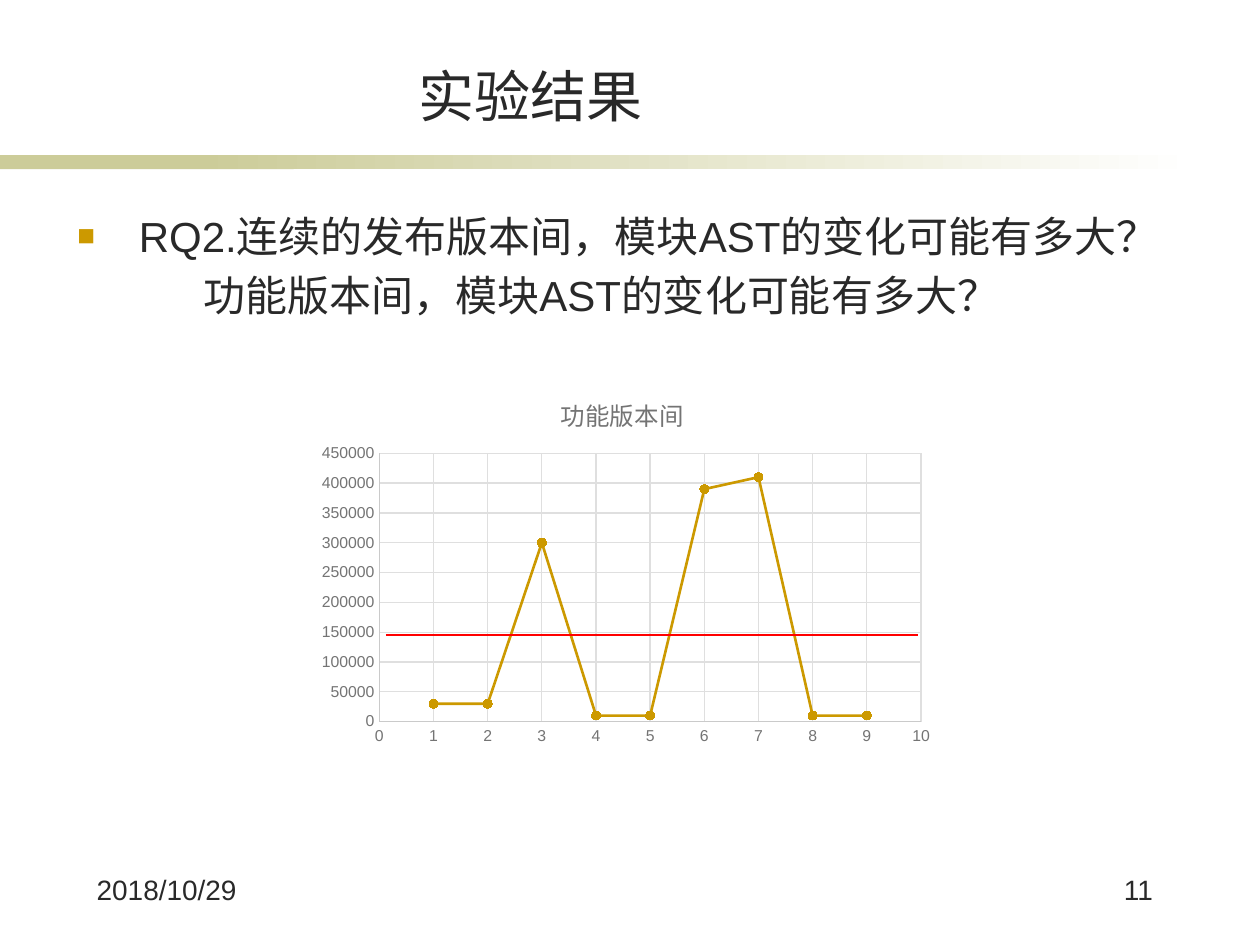
from lxml import etree
from pptx import Presentation
from pptx.chart.data import XyChartData
from pptx.dml.color import RGBColor
from pptx.enum.chart import XL_CHART_TYPE, XL_MARKER_STYLE, XL_TICK_MARK
from pptx.enum.shapes import MSO_CONNECTOR, MSO_SHAPE
from pptx.enum.text import MSO_ANCHOR, PP_ALIGN
from pptx.oxml.ns import qn
from pptx.util import Cm, Pt

LEFT, CENTER, RIGHT = PP_ALIGN.LEFT, PP_ALIGN.CENTER, PP_ALIGN.RIGHT
TOP, BOTTOM = MSO_ANCHOR.TOP, MSO_ANCHOR.BOTTOM
SCATTER_LINES = XL_CHART_TYPE.XY_SCATTER_LINES
CIRCLE = XL_MARKER_STYLE.CIRCLE
NO_TICK = XL_TICK_MARK.NONE
STRAIGHT = MSO_CONNECTOR.STRAIGHT
RECTANGLE = MSO_SHAPE.RECTANGLE

FONT = "Arial"
COLORS = {
    "text": "292929",
    "band": "CCCC99",
    "paper": "FFFFFF",
    "gold": "CC9900",
    "label": "747474",
    "axis": "CACACA",
    "grid": "DFDFDF",
    "mean": "FF0000",
}
CHANGES = [30000, 30000, 300000, 10000, 10000, 390000, 410000, 10000, 10000]


def rgb(name):
    return RGBColor.from_string(COLORS[name])


def style_font(font, size, color):
    font.name = FONT
    font.size = Pt(size)
    font.color.rgb = rgb(color)


def add_text(slide, box, lines, size, align=LEFT, anchor=TOP):
    """Add a text box with one paragraph per line and return its paragraphs."""
    frame = slide.shapes.add_textbox(*map(Cm, box)).text_frame
    frame.word_wrap = True
    frame.vertical_anchor = anchor
    for number, line in enumerate(lines):
        paragraph = frame.add_paragraph() if number else frame.paragraphs[0]
        paragraph.alignment = align
        run = paragraph.add_run()
        run.text = line
        style_font(run.font, size, "text")
    return frame.paragraphs


def indent(paragraph, margin, first=0):
    properties = paragraph._p.get_or_add_pPr()
    properties.set("marL", str(Cm(margin)))
    properties.set("indent", str(Cm(first)))
    return properties


def add_square_bullet(paragraph, margin):
    properties = indent(paragraph, margin, -margin)
    color = etree.SubElement(properties, qn("a:buClr"))
    etree.SubElement(color, qn("a:srgbClr"), val=COLORS["gold"])
    etree.SubElement(properties, qn("a:buSzPct"), val="70000")
    etree.SubElement(properties, qn("a:buFont"), typeface=FONT)
    etree.SubElement(properties, qn("a:buChar"), char="■")


def add_band(slide, left, width, fades=False):
    band = slide.shapes.add_shape(RECTANGLE, Cm(left), Cm(3.13), Cm(width), Cm(0.28))
    band.shadow.inherit = False
    band.line.fill.background()
    if fades:
        band.fill.gradient()
        band.fill.gradient_angle = 0
        for stop, color in zip(band.fill.gradient_stops, ("band", "paper")):
            stop.color.rgb = rgb(color)
    else:
        band.fill.solid()
        band.fill.fore_color.rgb = rgb("band")


def set_layout(element, position, **values):
    """Place a chart part by fractions of the chart area."""
    for old in element.findall(qn("c:layout")):
        element.remove(old)
    layout = etree.Element(qn("c:layout"))
    manual = etree.SubElement(layout, qn("c:manualLayout"))
    if "w" in values:
        etree.SubElement(manual, qn("c:layoutTarget"), val="inner")
    for side in "xy":
        etree.SubElement(manual, qn(f"c:{side}Mode"), val="edge")
    for key, value in values.items():
        etree.SubElement(manual, qn(f"c:{key}"), val=str(value))
    element.insert(position, layout)


def style_axis(axis, maximum, step):
    axis.minimum_scale, axis.maximum_scale, axis.major_unit = 0, maximum, step
    axis.major_tick_mark = axis.minor_tick_mark = NO_TICK
    axis.has_major_gridlines = True
    style_font(axis.tick_labels.font, 9, "label")
    axis.tick_labels.number_format = "General"
    axis.tick_labels.number_format_is_linked = False
    for line, color in ((axis.format.line, "axis"),
                        (axis.major_gridlines.format.line, "grid")):
        line.color.rgb = rgb(color)
        line.width = Pt(0.75)


def add_change_chart(slide, title):
    data = XyChartData()
    points = data.add_series(title)
    for version, change in enumerate(CHANGES, start=1):
        points.add_data_point(version, change)
    chart = slide.shapes.add_chart(
        SCATTER_LINES, Cm(6.25), Cm(7.54), Cm(12.7), Cm(7.62), data).chart
    chart.has_legend = False
    style_font(chart.font, 10, "text")

    # Title and plot area
    heading = chart.chart_title
    run = heading.text_frame.paragraphs[0].add_run()
    run.text = title
    style_font(run.font, 14, "label")
    run.font.bold = False
    heading.include_in_layout = False
    set_layout(heading._element, 1, x=0.39, y=0.04)
    plot_area = chart.element.find(qn("c:chart")).find(qn("c:plotArea"))
    set_layout(plot_area, 0, x=0.11, y=0.21, w=0.86, h=0.71)

    # Axes and series
    style_axis(chart.category_axis, 10, 1)
    style_axis(chart.value_axis, 450000, 50000)
    chart.plots[0].vary_by_categories = False
    changes = chart.plots[0].series[0]
    changes.smooth = False
    changes.format.line.color.rgb = rgb("gold")
    changes.format.line.width = Pt(1.5)
    changes.marker.style = CIRCLE
    changes.marker.size = 5
    changes.marker.format.fill.solid()
    changes.marker.format.fill.fore_color.rgb = rgb("gold")
    changes.marker.format.line.color.rgb = rgb("gold")


def add_mean_line(slide):
    mean = slide.shapes.add_connector(STRAIGHT, Cm(7.78), Cm(12.8), Cm(18.5), Cm(12.8))
    mean.line.color.rgb = rgb("mean")
    mean.line.width = Pt(0.75)
    etree.SubElement(mean._element.spPr, qn("a:effectLst"))


def main():
    deck = Presentation()
    deck.slide_width, deck.slide_height = Cm(25.4), Cm(19.05)
    slide = deck.slides.add_slide(deck.slide_layouts[6])

    # Heading with the band under it
    add_band(slide, 0, 5.92)
    add_band(slide, 4.01, 20.12, fades=True)
    add_text(slide, (2.9, 1.12, 15.6, 1.6), ["实验结果"], 32, CENTER, BOTTOM)

    # Research question
    question, follow_up = add_text(slide, (1.31, 4.12, 22.6, 12.19), [
        "RQ2.连续的发布版本间，模块AST的变化可能有多大？",
        "功能版本间，模块AST的变化可能有多大？",
    ], 24)
    for paragraph in (question, follow_up):
        paragraph.space_before = Pt(4.8)
    add_square_bullet(question, 1.24)
    indent(follow_up, 2.54)

    # Changes between feature versions, with their mean
    add_change_chart(slide, "功能版本间")
    add_mean_line(slide)

    # Footer
    add_text(slide, (1.7, 17.46, 3.58, 1.27), ["2018/10/29"], 16)
    add_text(slide, (20.9, 17.46, 2.59, 1.27), ["11"], 16, RIGHT)

    deck.save("out.pptx")


if __name__ == "__main__":
    main()
